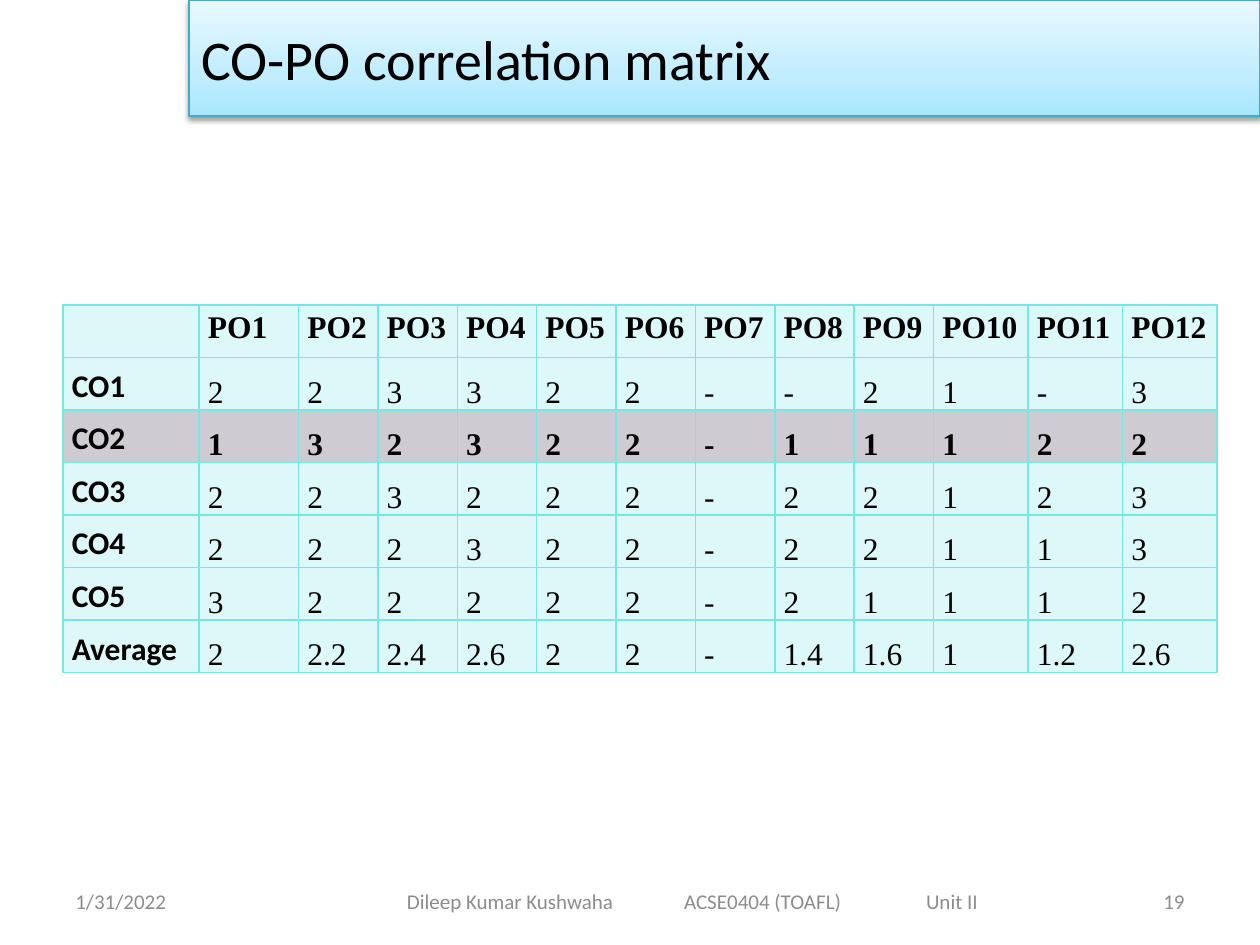
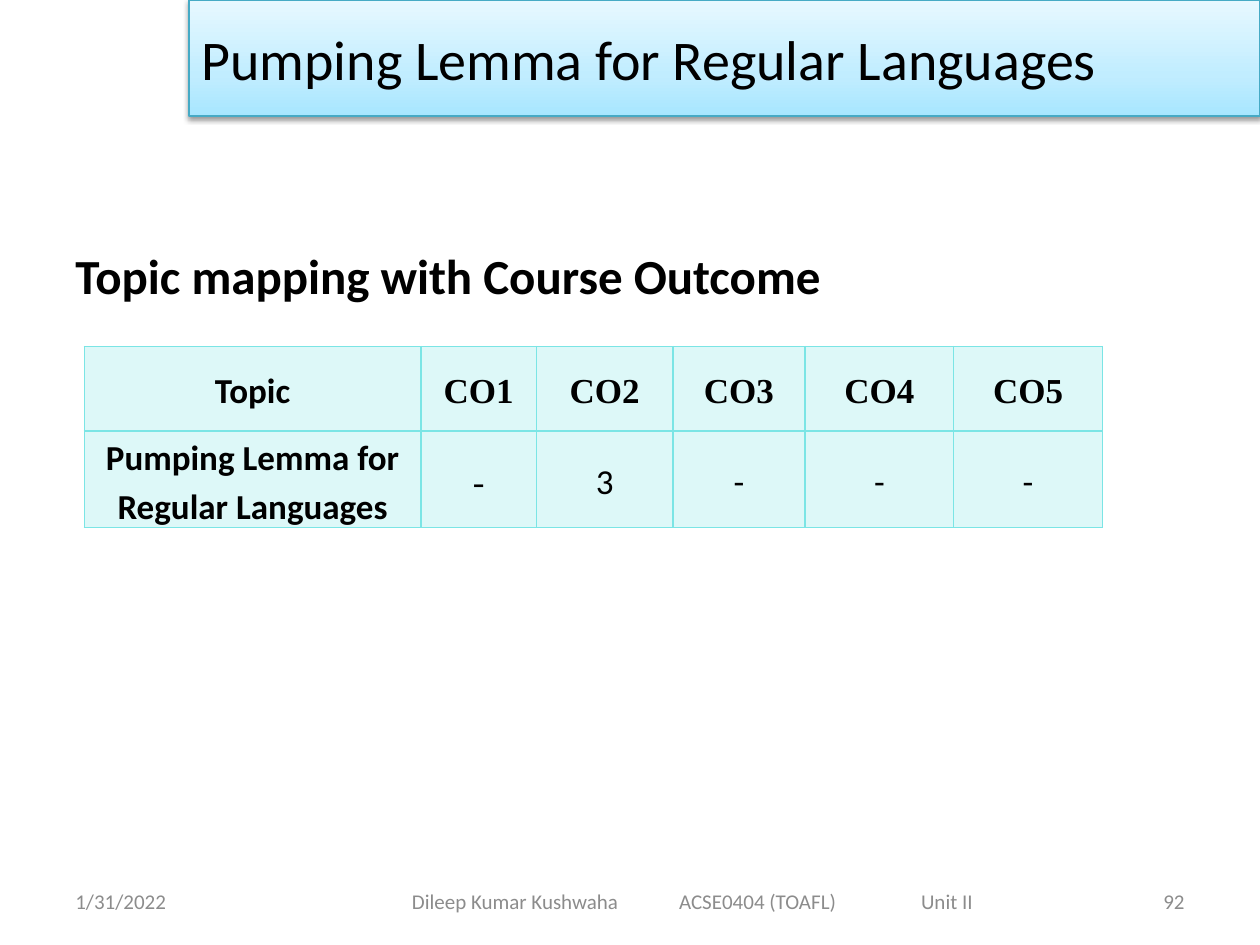
from lxml import etree
from pptx import Presentation
from pptx.dml.color import RGBColor
from pptx.enum.shapes import MSO_SHAPE
from pptx.enum.text import MSO_ANCHOR as ANCHOR, PP_ALIGN as ALIGN
from pptx.oxml import parse_xml
from pptx.oxml.ns import nsdecls, qn
from pptx.util import Inches, Pt

BLACK = RGBColor(0x00, 0x00, 0x00)
FOOTER_GREY = RGBColor(0x8C, 0x8C, 0x8C)
BAND_EDGE = RGBColor(0x46, 0xAA, 0xC5)
BAND_STOPS = [(0, RGBColor(0xA7, 0xE6, 0xFF)), (35, RGBColor(0xC1, 0xED, 0xFF)),
              (100, RGBColor(0xE7, 0xF8, 0xFF))]
AQUA = RGBColor(0x7B, 0xE5, 0xE5)
PLUM = RGBColor(0x40, 0x31, 0x52)
SANS, SERIF = "Calibri", "Times New Roman"


def add_run(paragraph, text, size, font=SANS, bold=False, color=BLACK):
    run = paragraph.add_run()
    run.text = text
    run.font.size = Pt(size)
    run.font.name = font
    run.font.bold = bold
    run.font.color.rgb = color


def add_grid(slide, left, top, widths, heights, highlight=None):
    """Add an empty table with thin aqua borders and 25% tinted cells."""
    grid = slide.shapes.add_table(len(heights), len(widths), Inches(left), Inches(top),
                                  Inches(sum(widths)), Inches(sum(heights))).table
    grid.first_row = grid.horz_banding = False
    for column, width in zip(grid.columns, widths):
        column.width = Inches(width)
    for r, height in enumerate(heights):
        grid.rows[r].height = Inches(height)
        for cell in grid.rows[r].cells:
            cell.margin_left = cell.margin_right = Inches(0.07)
            cell.margin_top = cell.margin_bottom = 0
            cell.fill.solid()
            cell.fill.fore_color.rgb = PLUM if r == highlight else AQUA
            props = cell._tc.tcPr
            tint = props.find(qn("a:solidFill"))[0]
            etree.SubElement(tint, qn("a:alpha"), val="25000")
            for i, side in enumerate(("lnL", "lnR", "lnT", "lnB")):
                props.insert(i, parse_xml(
                    f'<a:{side} {nsdecls("a")} w="{Pt(1)}"><a:solidFill>'
                    f'<a:srgbClr val="{AQUA}"/></a:solidFill></a:{side}>'))
    return grid


prs = Presentation()
prs.slide_width, prs.slide_height = Inches(10), Inches(7.5)

# Title band and footer: title, page, footer start, tab stops
FRAMES = [("CO-PO correlation matrix", "19", 0.48, (2.2, 4.12)),
          ("Pumping Lemma for Regular Languages", "92", 0.52, (2.12, 4.04))]
for title, page, course_start, course_tabs in FRAMES:
    slide = prs.slides.add_slide(prs.slide_layouts[6])

    band = slide.shapes.add_shape(MSO_SHAPE.RECTANGLE, Inches(1.5), 0, Inches(8.5), Inches(0.92))
    band.fill.gradient()
    band.fill.gradient_angle = 90
    stops = band._element.spPr.find(qn("a:gradFill")).find(qn("a:gsLst"))
    for stop in list(stops):
        stops.remove(stop)
    for position, color in BAND_STOPS:
        stop = etree.SubElement(stops, qn("a:gs"), pos=str(position * 1000))
        etree.SubElement(stop, qn("a:srgbClr"), val=str(color))
    band.line.color.rgb = BAND_EDGE
    band.line.width = Pt(0.75)
    band.shadow.inherit = False
    band._element.spPr.find(qn("a:effectLst")).append(parse_xml(
        f'<a:outerShdw {nsdecls("a")} blurRad="{Pt(3.1)}" dist="{Pt(1.6)}" dir="5400000" '
        'rotWithShape="0"><a:srgbClr val="000000"><a:alpha val="38000"/></a:srgbClr></a:outerShdw>'))
    band.text_frame.word_wrap = True
    band.text_frame.vertical_anchor = ANCHOR.MIDDLE
    band.text_frame.paragraphs[0].alignment = ALIGN.LEFT
    add_run(band.text_frame.paragraphs[0], title, 32)

    course = "Dileep Kumar Kushwaha\tACSE0404 (TOAFL)\tUnit II"
    for left, width, inset, align, tabs, text in [
            (0.5, 2.33, 0.1, ALIGN.LEFT, (), "1/31/2022"),
            (2.75, 5.5, course_start, ALIGN.LEFT, course_tabs, course),
            (7.17, 2.33, 0.1, ALIGN.RIGHT, (), page)]:
        footer = slide.shapes.add_textbox(Inches(left), Inches(6.95),
                                          Inches(width), Inches(0.4)).text_frame
        footer.word_wrap = True
        footer.vertical_anchor = ANCHOR.MIDDLE
        footer.margin_left = Inches(inset)
        line = footer.paragraphs[0]
        line.alignment = align
        if tabs:
            tab_list = etree.SubElement(line._p.get_or_add_pPr(), qn("a:tabLst"))
            for tab in tabs:
                etree.SubElement(tab_list, qn("a:tab"), pos=str(Inches(tab)), algn="l")
        add_run(line, text, 12, color=FOOTER_GREY)

matrix_slide, lemma_slide = prs.slides

# CO-PO correlation matrix
LEVELS = [
    ("CO1", "2 2 3 3 2 2 - - 2 1 - 3"),
    ("CO2", "1 3 2 3 2 2 - 1 1 1 2 2"),
    ("CO3", "2 2 3 2 2 2 - 2 2 1 2 3"),
    ("CO4", "2 2 2 3 2 2 - 2 2 1 1 3"),
    ("CO5", "3 2 2 2 2 2 - 2 1 1 1 2"),
    ("Average", "2 2.2 2.4 2.6 2 2 - 1.4 1.6 1 1.2 2.6"),
]
CURRENT_ROW = 2
matrix_rows = [[""] + [f"PO{n}" for n in range(1, 13)]]
matrix_rows += [[outcome] + levels.split() for outcome, levels in LEVELS]
matrix = add_grid(matrix_slide, 0.5, 2.42, [1.08, 0.79] + [0.63] * 8 + [0.75] * 3,
                  [0.417] * len(matrix_rows), CURRENT_ROW)
for r, row in enumerate(matrix_rows):
    for c, text in enumerate(row):
        if not text:
            continue
        cell = matrix.cell(r, c)
        entry = cell.text_frame.paragraphs[0]
        entry.line_spacing = 1.15
        if r == 0:
            entry.alignment = ALIGN.JUSTIFY
        elif c == 0:
            cell.vertical_anchor = ANCHOR.MIDDLE
        else:
            cell.vertical_anchor = ANCHOR.BOTTOM
            entry.space_after = Pt(10)
        add_run(entry, text, 18, SERIF if c else SANS, bold=r in (0, CURRENT_ROW) or c == 0)

# Topic mapping
mapping = lemma_slide.shapes.add_textbox(Inches(0.5), Inches(1.25),
                                         Inches(9), Inches(4.95)).text_frame
mapping.word_wrap = True
mapping.margin_top = Inches(0.7)
add_run(mapping.paragraphs[0], "Topic mapping with Course Outcome", 28, bold=True)

topic_rows = [["Topic"] + [f"CO{n}" for n in range(1, 6)],
              ["Pumping Lemma for Regular Languages", "-", "3", "-", "-", "-"]]
topics = add_grid(lemma_slide, 0.67, 2.75, [2.67, 0.92, 1.08, 1.05, 1.18, 1.18], [0.67, 0.75])
for r, row in enumerate(topic_rows):
    for c, text in enumerate(row):
        cell = topics.cell(r, c)
        cell.vertical_anchor = ANCHOR.MIDDLE
        entry = cell.text_frame.paragraphs[0]
        entry.alignment = ALIGN.CENTER
        entry.line_spacing = 1.15
        if r and c:
            entry.space_after = Pt(10)
        serif = c == 1 or (r == 0 and c > 1)
        add_run(entry, text, 20, SERIF if serif else SANS, bold=r == 0 or c == 0)

prs.save("out.pptx")
